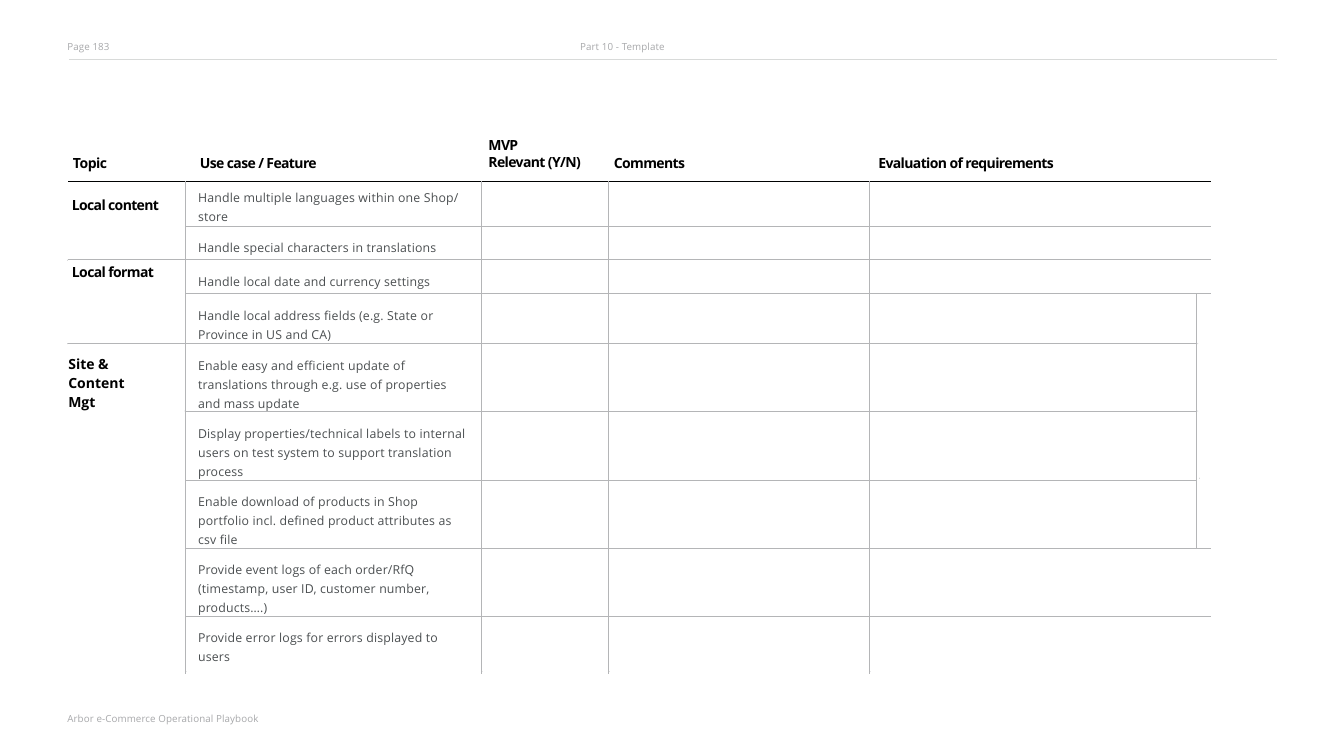
"""Build the requirements template slide for local content and site management."""
from lxml.etree import SubElement
from pptx import Presentation
from pptx.dml.color import RGBColor
from pptx.enum.shapes import MSO_CONNECTOR as CONNECTOR, MSO_SHAPE as SHAPE
from pptx.oxml.ns import qn
from pptx.util import Cm, Pt

FONT = "Open Sans"
BLACK = RGBColor(0, 0, 0)
BODY_GREY = RGBColor(0x4B, 0x4F, 0x51)
PAGE_GREY = RGBColor(0xA7, 0xA8, 0xAA)
GRID_GREY = RGBColor(0xB4, 0xB5, 0xB7)
RULE_GREY = RGBColor(0xD8, 0xDA, 0xD9)
HEADER_BLACK = RGBColor(0, 1, 1)


def style_text(frame, size, color, bold, tracking, spacing=None):
    for paragraph in frame.paragraphs:
        if spacing:
            paragraph.line_spacing = spacing
        for run in paragraph.runs:
            run.font.name = FONT
            run.font.size = Pt(size)
            run.font.bold = bold
            run.font.color.rgb = color
            run.font._element.set("spc", str(round(tracking * 100)))
        for line_break in paragraph._p.findall(qn("a:br")):
            SubElement(line_break, qn("a:rPr"), sz=str(round(size * 100)))


def add_border(cell, side, color):
    line = SubElement(cell._tc.get_or_add_tcPr(), qn(f"a:ln{side}"), w=str(Pt(1)))
    SubElement(SubElement(line, qn("a:solidFill")), qn("a:srgbClr"), val=str(color))


deck = Presentation()
deck.slide_width, deck.slide_height = Cm(55.85), Cm(31.42)
slide = deck.slides.add_slide(deck.slide_layouts[6])

header_rule = slide.shapes.add_connector(
    CONNECTOR.STRAIGHT, Cm(2.87), Cm(2.44), Cm(53.06), Cm(2.44))
header_rule.line.color.rgb = RULE_GREY
header_rule.line.width = Pt(0.25)
SubElement(header_rule._element.spPr, qn("a:effectLst"))

columns = [4.88, 12.27, 5.31, 10.82, 13.59, 0.36]
rows = [1.88, 1.4, 1.4, 2.08, 2.79, 2.79, 2.82, 2.79, 2.39]
requirements = slide.shapes.add_table(
    len(rows), len(columns), Cm(2.84), Cm(7.52), Cm(sum(columns)), Cm(sum(rows))).table
requirements.first_row = False
requirements.horz_banding = False
table_style = requirements._tbl.tblPr.find(qn("a:tableStyleId"))
table_style.text = "{2D5ABB26-0587-4C30-8999-92F81FD0307C}"
for column, width in zip(requirements.columns, columns):
    column.width = Cm(width)
for row, height in zip(requirements.rows, rows):
    row.height = Cm(height)

spans = [(0, 0, 1, 0), (2, 0, 3, 0), (4, 0, 8, 0), (3, 5, 6, 5)]
spans += [(r, 4, r, 5) for r in (0, 1, 2, 7, 8)]
grid = [(r, c) for r in range(len(rows)) for c in range(len(columns))]
owner = {place: place for place in grid}
for top, left, bottom, right in spans:
    requirements.cell(top, left).merge(requirements.cell(bottom, right))
    for r, c in grid:
        if top <= r <= bottom and left <= c <= right:
            owner[r, c] = (top, left)

neighbours = {"L": (0, -1), "R": (0, 1), "T": (-1, 0), "B": (1, 0)}
for r, c in grid:
    cell = requirements.cell(r, c)
    for side, (down, across) in neighbours.items():
        beside = owner.get((r + down, c + across))
        if r == 0 and side == "T":
            add_border(cell, side, HEADER_BLACK)
        elif beside and beside != owner[r, c]:
            add_border(cell, side, GRID_GREY)
    cell.fill.background()

topics = [
    (0, "Local content", 0.15, 0.61, -0.75),
    (2, "Local format", 0.15, 0.13, -0.7),
    (4, "Site &\vContent\vMgt", 0, 0.48, 0),
]
use_cases = [
    "Handle multiple languages within one Shop/\vstore",
    "Handle special characters in translations",
    "Handle local date and currency settings",
    "Handle local address fields (e.g. State or\vProvince in US and CA)",
    "Enable easy and efficient update of\vtranslations through e.g. use of properties\vand mass update",
    "Display properties/technical labels to internal\v"
    "users on test system to support translation\vprocess",
    "Enable download of products in Shop\vportfolio incl. defined product attributes as\vcsv file",
    "Provide event logs of each order/RfQ\v(timestamp, user ID, customer number,\vproducts….)",
    "Provide error logs for errors displayed to\vusers",
]
entries = [(r, 0, text, indent, drop, 16.5, BLACK, True, tracking, None)
           for r, text, indent, drop, tracking in topics]
entries += [(r, 1, text, 0.51, 0.46 if r else 0.25, 14.5, BODY_GREY, False, 0.2, 1.14)
            for r, text in enumerate(use_cases)]
for r, c, text, indent, drop, *look in entries:
    cell = requirements.cell(r, c)
    cell.margin_left, cell.margin_top = Cm(indent), Cm(drop)
    cell.margin_right = cell.margin_bottom = 0
    cell.text_frame.text = text
    style_text(cell.text_frame, *look)

page_look = (11.5, PAGE_GREY, False, 0.1)
heading_look = (16.5, BLACK, True, -0.7)
labels = [
    ("Page 183", 2.77, 1.65, 1.83, 0.56, page_look),
    ("Part 10 - Template", 24.08, 1.65, 3.71, 0.56, page_look),
    ("Arbor e-Commerce Operational Playbook", 2.77, 29.59, 8.18, 0.64, page_look),
    ("Topic", 3, 6.38, 1.57, 0.76, (16.5, BLACK, True, -0.5)),
    ("Use case / Feature", 8.28, 6.38, 5.26, 0.76, heading_look),
    ("MVP\nRelevant (Y/N)", 20.27, 5.66, 4.09, 1.47, (*heading_look, Pt(19.8))),
    ("Comments", 25.48, 6.38, 3.15, 0.76, heading_look),
    ("Evaluation of requirements", 36.47, 6.38, 7.8, 0.76, heading_look),
]
for text, left, top, width, height, look in labels:
    frame = slide.shapes.add_textbox(Cm(left), Cm(top), Cm(width), Cm(height)).text_frame
    frame.word_wrap = False
    frame.margin_left = frame.margin_top = Cm(0.03)
    frame.margin_right = frame.margin_bottom = 0
    frame.text = text
    style_text(frame, *look)

line_ends = [(left, 27.89) for left in (7.72, 20.02, 25.3, 36.14)]
line_ends += [(2.79, 10.8), (2.79, 14.27), (49.76, 14.27), (7.67, 17.07),
              (49.76, 17.07), (49.83, 19.86), (7.7, 22.68)]
for left, top in line_ends:
    line_end = slide.shapes.add_shape(SHAPE.OVAL, Cm(left), Cm(top), Cm(0.03), Cm(0.03))
    line_end.shadow.inherit = False
    line_end.fill.solid()
    line_end.fill.fore_color.rgb = GRID_GREY
    line_end.line.fill.background()

deck.save("out.pptx")
